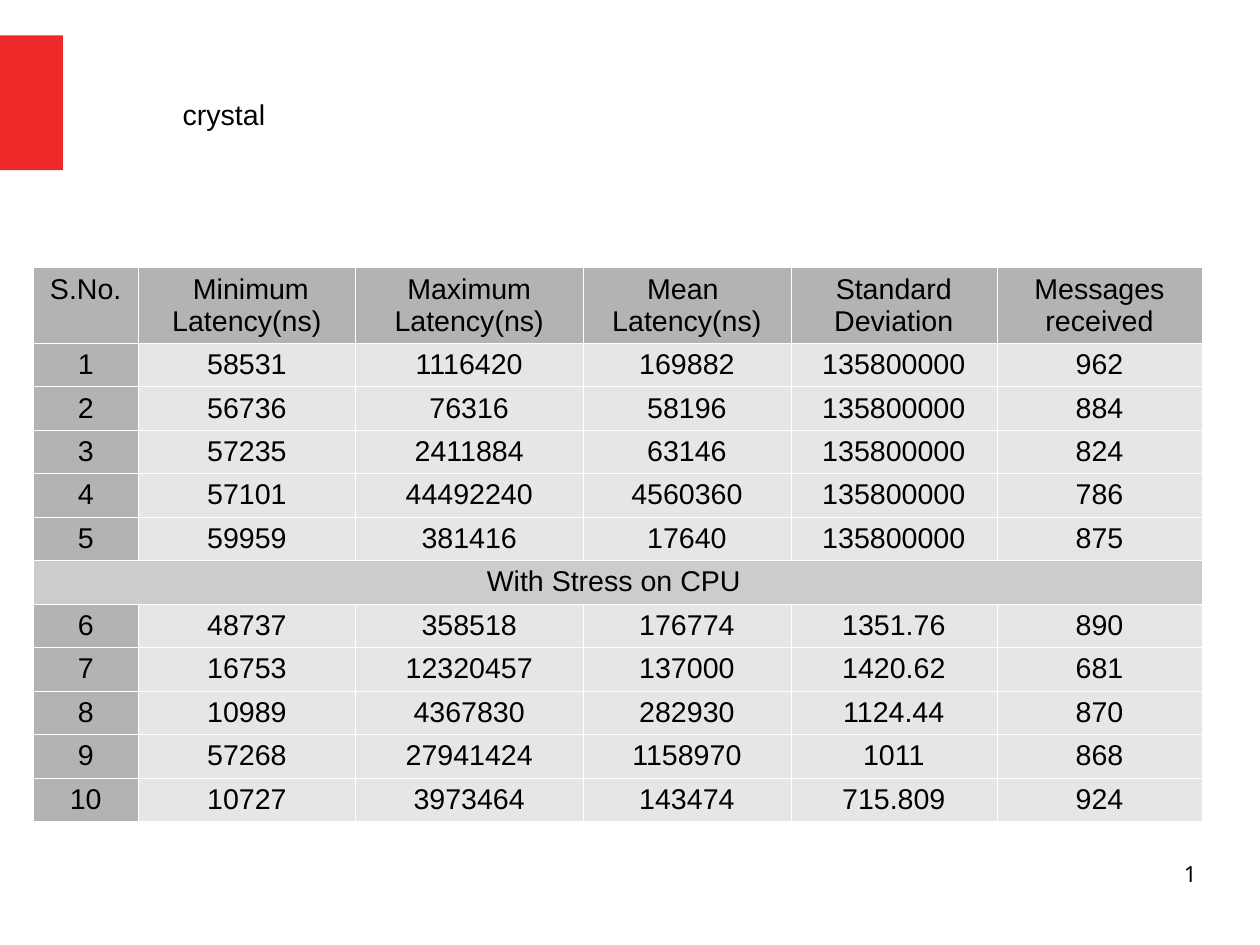
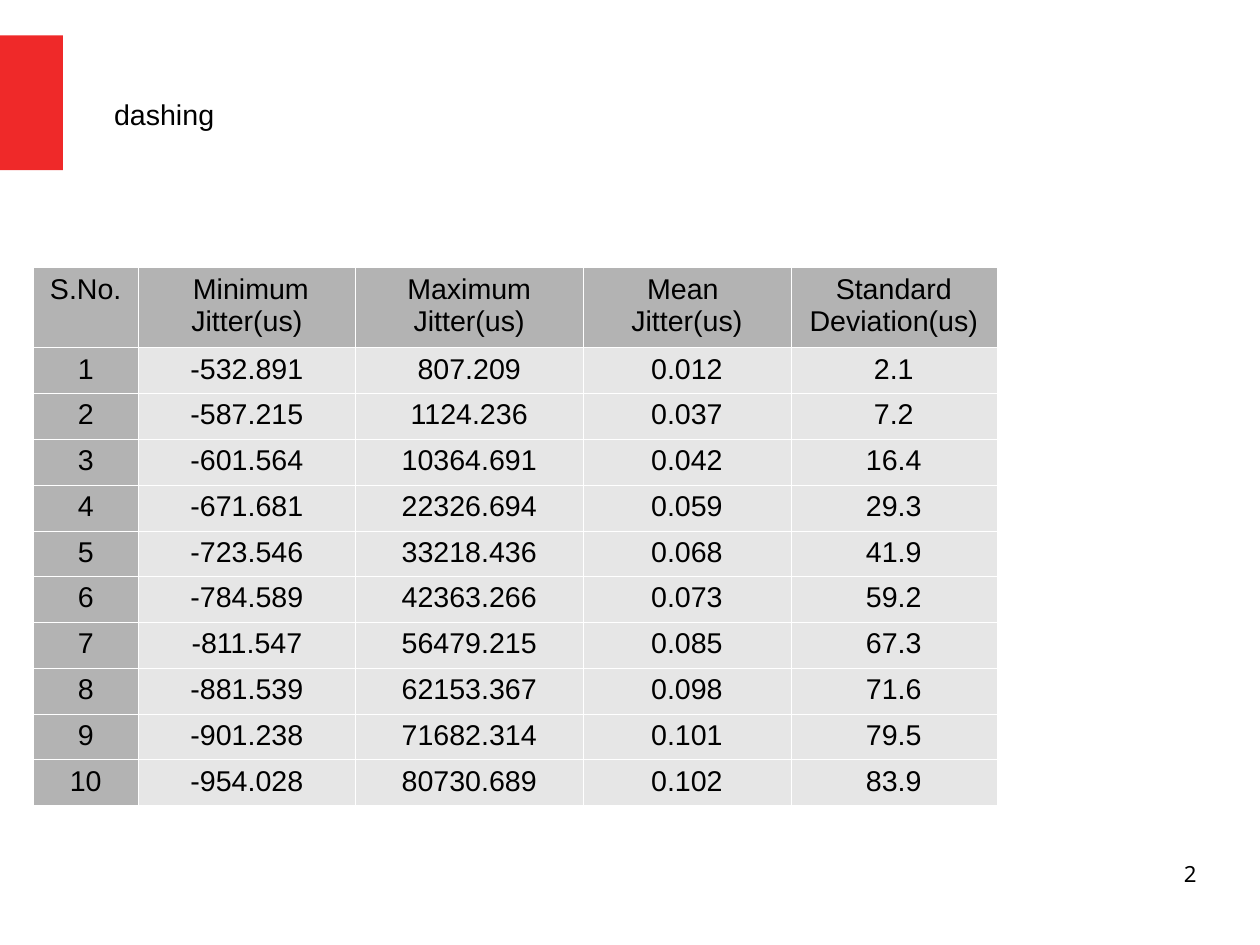
from pptx import Presentation
from pptx.dml.color import RGBColor
from pptx.enum.shapes import MSO_SHAPE
from pptx.enum.text import PP_ALIGN
from pptx.oxml import parse_xml
from pptx.oxml.ns import nsdecls
from pptx.util import Inches, Pt

RECTANGLE = MSO_SHAPE.RECTANGLE
LEFT, CENTER, RIGHT = PP_ALIGN.LEFT, PP_ALIGN.CENTER, PP_ALIGN.RIGHT

# Content: a one-item row is a band across the whole table
SLIDES = [
    {
        "title": "crystal",
        "title_box": (1.5, 0.8, 6.2, 0.38),
        "header": ["S.No.", " Minimum Latency(ns)", "Maximum Latency(ns)",
                   "Mean \nLatency(ns)", "Standard Deviation", "Messages received"],
        "rows": [
            ["1", "58531", "1116420", "169882", "135800000", "962"],
            ["2", "56736", "76316", "58196", "135800000", "884"],
            ["3", "57235", "2411884", "63146", "135800000", "824"],
            ["4", "57101", "44492240", "4560360", "135800000", "786"],
            ["5", "59959", "381416", "17640", "135800000", "875"],
            ["With Stress on CPU "],
            ["6", "48737", "358518", "176774", "1351.76", "890"],
            ["7", "16753", "12320457", "137000", "1420.62", "681"],
            ["8", "10989", "4367830", "282930", "1124.44", "870"],
            ["9", "57268", "27941424", "1158970", "1011", "868"],
            ["10", "10727", "3973464", "143474", "715.809", "924"],
        ],
    },
    {
        "title": "dashing",
        "title_box": (0.9, 0.8, 4.6, 0.38),
        "header": ["S.No.", " Minimum Jitter(us)", "Maximum Jitter(us)",
                   "Mean \nJitter(us)", "Standard Deviation(us)"],
        "rows": [
            ["1", "-532.891", "807.209", "0.012", "2.1"],
            ["2", "-587.215", "1124.236", "0.037", "7.2"],
            ["3", "-601.564", "10364.691", "0.042", "16.4"],
            ["4", "-671.681", "22326.694", "0.059", "29.3"],
            ["5", "-723.546", "33218.436", "0.068", "41.9"],
            ["6", "-784.589", "42363.266", "0.073", "59.2"],
            ["7", "-811.547", "56479.215", "0.085", "67.3"],
            ["8", "-881.539", "62153.367", "0.098", "71.6"],
            ["9", "-901.238", "71682.314", "0.101", "79.5"],
            ["10", "-954.028", "80730.689", "0.102", "83.9"],
        ],
    },
]

# Shared look; the page is 28 by 21 centimetres
SLIDE_SIZE = (28 / 2.54, 21 / 2.54)
RED, BLACK, WHITE = "EF2929", "000000", "FFFFFF"
HEADER_FILL, BAND_FILL, BODY_FILL = "B3B3B3", "CCCCCC", "E6E6E6"
BODY_FONT = {"name": "Arial", "size": Pt(18)}
NUMBER_FONT = {"name": "Noto Sans", "size": Pt(14)}
RED_TAB = (0, 0.31, 0.55, 1.18)
NUMBER_BOX = (7.9, 7.53, 2.57, 0.57)
TABLE_LEFT, TABLE_TOP = 0.29, 2.34
COLUMN_WIDTHS = [0.92, 1.9, 1.99, 1.82, 1.8, 1.8]
# Rows grow from the smallest height to fit their text
SMALLEST_ROW, HEADER_HEIGHT, ROW_HEIGHT = 0.37, 0.69, 0.38
NO_MARGINS = dict.fromkeys(
    ("margin_left", "margin_top", "margin_right", "margin_bottom"), 0)


def color(value):
    return RGBColor.from_string(value)


def inches(box):
    return [Inches(length) for length in box]


def set_values(target, values):
    for name, value in values.items():
        setattr(target, name, value)


def write(text_frame, text, font, align):
    text_frame.word_wrap = True
    text_frame.text = text
    for paragraph in text_frame.paragraphs:
        paragraph.alignment = align
        for run in paragraph.runs:
            set_values(run.font, font)
            run.font.color.rgb = color(BLACK)


def add_red_tab(slide):
    tab = slide.shapes.add_shape(RECTANGLE, *inches(RED_TAB))
    tab.shadow.inherit = False
    tab.fill.solid()
    tab.fill.fore_color.rgb = color(RED)
    tab.line.fill.background()


def add_text(slide, box, text, font, align):
    text_box = slide.shapes.add_textbox(*inches(box))
    write(text_box.text_frame, text, font, align)
    return text_box.text_frame


def style_cell(cell, fill):
    cell.fill.solid()
    cell.fill.fore_color.rgb = color(fill)
    # Borders come before the fill in the cell properties
    for index, side in enumerate(("lnL", "lnR", "lnT", "lnB")):
        border = parse_xml(
            f'<a:{side} {nsdecls("a")} w="{Pt(0.06)}"><a:solidFill>'
            f'<a:srgbClr val="{WHITE}"/></a:solidFill></a:{side}>')
        cell._tc.get_or_add_tcPr().insert(index, border)


def add_data_table(slide, header, rows):
    widths = COLUMN_WIDTHS[:len(header)]
    height = HEADER_HEIGHT + ROW_HEIGHT * len(rows)
    box = (TABLE_LEFT, TABLE_TOP, sum(widths), height)
    frame = slide.shapes.add_table(len(rows) + 1, len(widths), *inches(box))
    table = frame.table
    for column, width in zip(table.columns, widths):
        column.width = Inches(width)
    for row in table.rows:
        row.height = Inches(SMALLEST_ROW)
    frame.height = Inches(height)

    for r, values in enumerate([header] + rows):
        is_band = len(values) == 1
        if is_band:
            table.cell(r, 0).merge(table.cell(r, len(widths) - 1))
        for c in range(len(widths)):
            is_header = r == 0 or c == 0
            fill = BAND_FILL if is_band else HEADER_FILL if is_header else BODY_FILL
            style_cell(table.cell(r, c), fill)
        for c, text in enumerate(values):
            write(table.cell(r, c).text_frame, text, BODY_FONT, CENTER)


def main():
    presentation = Presentation()
    presentation.slide_width, presentation.slide_height = inches(SLIDE_SIZE)
    blank = presentation.slide_layouts[6]
    for number, content in enumerate(SLIDES, start=1):
        slide = presentation.slides.add_slide(blank)
        add_red_tab(slide)
        add_data_table(slide, content["header"], content["rows"])
        add_text(slide, content["title_box"], content["title"], BODY_FONT, LEFT)
        number_frame = add_text(slide, NUMBER_BOX, str(number), NUMBER_FONT, RIGHT)
        set_values(number_frame, NO_MARGINS)
    presentation.save("out.pptx")


if __name__ == "__main__":
    main()
